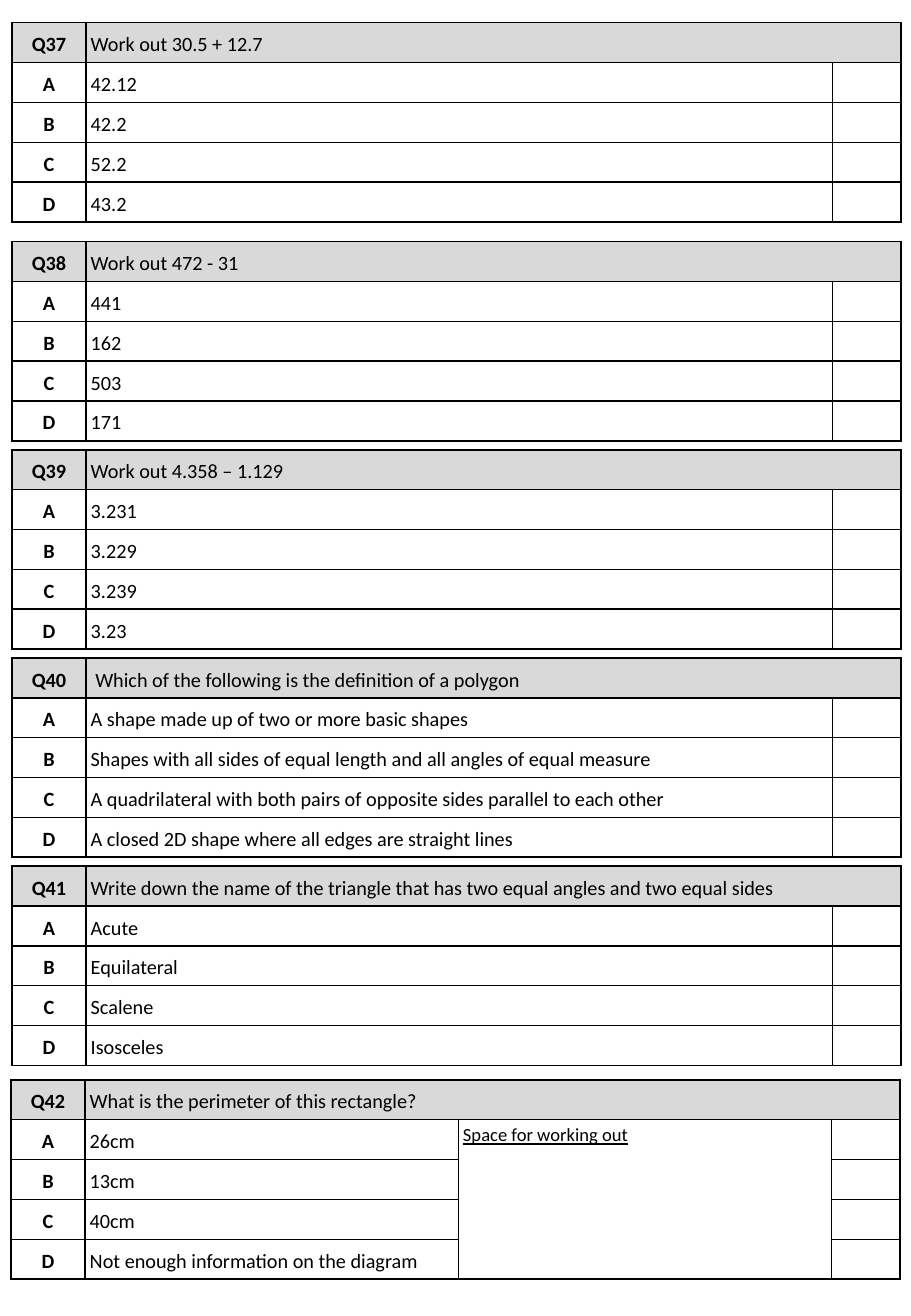
from dataclasses import dataclass

from lxml import etree
from pptx import Presentation
from pptx.dml.color import RGBColor
from pptx.enum import text
from pptx.oxml import ns
from pptx.util import Pt

INK = "000000"
GREY = "D9D9D9"
ROW = 23.62
LABEL, ANSWER, TICK = 44, 442.5, 40.5
PAD = 2.7
FIRST, SECOND, STEP = 13.5, 143.2, 123.4


@dataclass
class Quiz:
    code: str
    ask: str
    picks: tuple[str, ...]
    top: float
    left: float = 7.1
    pad: float = PAD
    note: str = ""


QUIZZES = [
    Quiz("Q37", "Work out 30.5 + 12.7", ("42.12", "42.2", "52.2", "43.2"), FIRST),
    Quiz("Q38", "Work out 472 - 31", ("441", "162", "503", "171"), SECOND),
    Quiz("Q39", "Work out 4.358 – 1.129", ("3.231", "3.229", "3.239", "3.23"),
         SECOND + STEP),
    Quiz("Q40", "Which of the following is the definition of a polygon",
         ("A shape made up of two or more basic shapes",
          "Shapes with all sides of equal length and all angles of equal measure",
          "A quadrilateral with both pairs of opposite sides parallel to each other",
          "A closed 2D shape where all edges are straight lines"),
         SECOND + 2 * STEP, pad=2 * PAD),
    Quiz("Q41", "Write down the name of the triangle that has two equal angles "
         "and two equal sides",
         ("Acute", "Equilateral", "Scalene", "Isosceles"), SECOND + 3 * STEP),
    Quiz("Q42", "What is the perimeter of this rectangle?",
         ("26cm", "13cm", "40cm", "Not enough information on the diagram"),
         640.1, left=6.5, note="Space for working out"),
]


def paint(fill, shade: str) -> None:
    fill.solid()
    fill.fore_color.rgb = RGBColor.from_string(shade)


def frame(cell) -> None:
    """Rule all four sides of a cell and clear its margins and fill."""
    props = cell._tc.get_or_add_tcPr()
    for side in ("lnL", "lnR", "lnT", "lnB"):
        line = etree.SubElement(props, ns.qn(f"a:{side}"), w=str(Pt(1)))
        solid = etree.SubElement(line, ns.qn("a:solidFill"))
        etree.SubElement(solid, ns.qn("a:srgbClr"), val=INK)
    cell.margin_left = cell.margin_right = 0
    cell.margin_top = cell.margin_bottom = 0
    cell.fill.background()


def write(cell, words: str, pad: float = PAD, size: float = 12):
    """Fill a cell with one paragraph and return that paragraph."""
    cell.text = words
    cell.margin_left = Pt(pad)
    cell.vertical_anchor = text.MSO_ANCHOR.MIDDLE
    para = cell.text_frame.paragraphs[0]
    para.line_spacing = 1.18
    para.space_after = Pt(6)
    para.font.name = "Calibri"
    para.font.size = Pt(size)
    para.font.bold = False
    paint(para.font.fill, INK)
    return para


def label(cell, words: str) -> None:
    para = write(cell, words, pad=0)
    para.alignment = text.PP_ALIGN.CENTER
    para.font.bold = True


def draw(slide, quiz: Quiz) -> None:
    middle = [ANSWER / 2] * 2 if quiz.note else [ANSWER]
    widths = [LABEL, *middle, TICK]
    count = len(quiz.picks) + 1
    table = slide.shapes.add_table(
        count, len(widths), Pt(quiz.left), Pt(quiz.top),
        Pt(sum(widths)), Pt(count * ROW)).table
    table.first_row = table.horz_banding = False
    for column, width in zip(table.columns, widths):
        column.width = Pt(width)
    for row in table.rows:
        row.height = Pt(ROW)
    for cell in table.iter_cells():
        frame(cell)

    head = table.cell(0, 1)
    head.merge(table.cell(0, len(widths) - 1))
    label(table.cell(0, 0), quiz.code)
    write(head, quiz.ask, quiz.pad)
    for index in range(len(widths)):
        paint(table.cell(0, index).fill, GREY)

    for index, (letter, pick) in enumerate(zip("ABCD", quiz.picks), 1):
        label(table.cell(index, 0), letter)
        write(table.cell(index, 1), pick)

    if quiz.note:
        space = table.cell(1, 2)
        space.merge(table.cell(count - 1, 2))
        write(space, quiz.note, size=11).font.underline = True
        space.vertical_anchor = text.MSO_ANCHOR.TOP


def main() -> None:
    deck = Presentation()
    deck.slide_width, deck.slide_height = Pt(540), Pt(780)
    slide = deck.slides.add_slide(deck.slide_layouts[6])
    for quiz in QUIZZES:
        draw(slide, quiz)
    deck.save("out.pptx")


if __name__ == "__main__":
    main()
